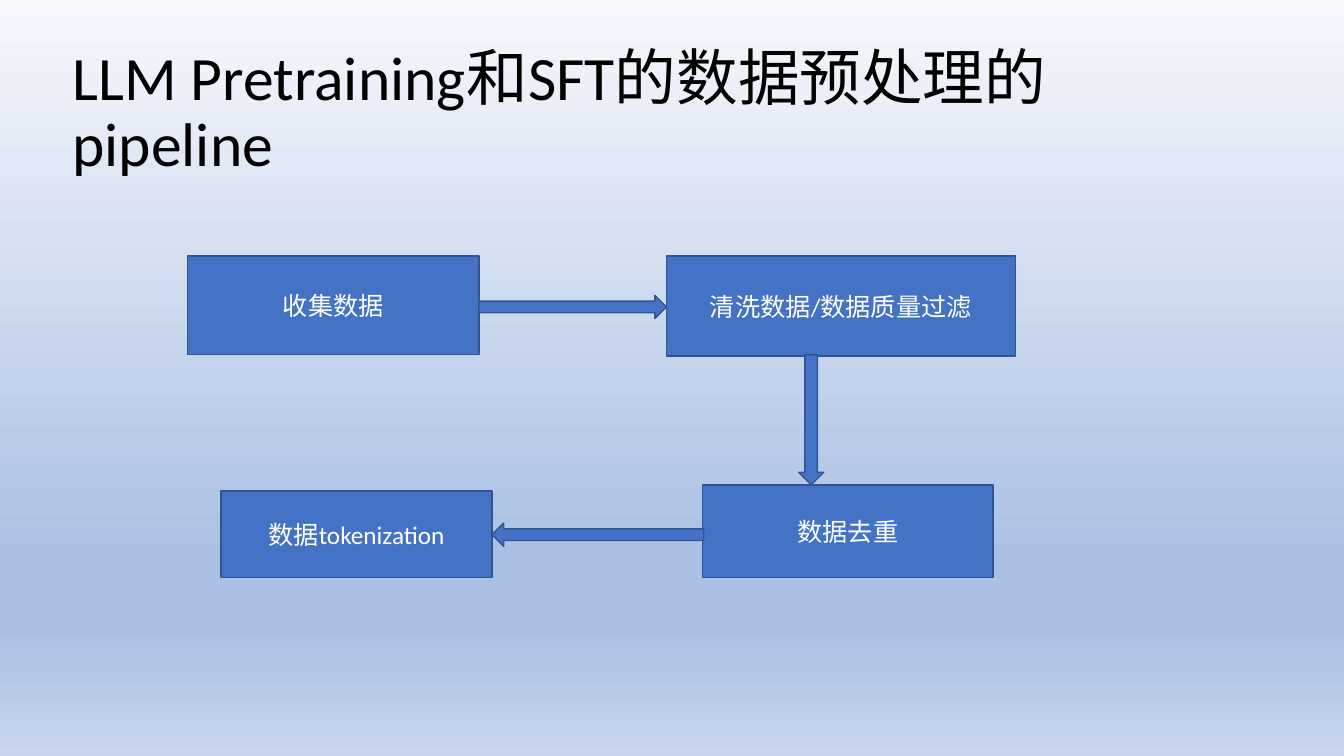
from pptx import Presentation
from pptx.dml.color import RGBColor
from pptx.enum.shapes import MSO_SHAPE as Shape
from pptx.enum.text import MSO_ANCHOR as Anchor, PP_ALIGN as Align
from pptx.oxml.ns import qn
from pptx.util import Inches, Pt
from lxml.etree import SubElement


def color(code):
    return RGBColor.from_string(code)


def block(kind, left, top, width, height):
    shape = slide.shapes.add_shape(
        kind, Inches(left), Inches(top), Inches(width), Inches(height))
    shape.shadow.inherit = False
    shape.fill.solid()
    shape.fill.fore_color.rgb = color("4472C4")
    shape.line.color.rgb = color("325491")
    shape.line.width = Pt(1)
    return shape


deck = Presentation()
deck.slide_width, deck.slide_height = Inches(13.33), Inches(7.5)
slide = deck.slides.add_slide(deck.slide_layouts[6])

# Background gradient, top to bottom
fill = slide.background.fill
fill.gradient()
fill.gradient_angle = 270
stops = slide.element.find(".//" + qn("a:gsLst"))
for stop in list(stops):
    stops.remove(stop)
for place, code in [(0, "F6F8FC"), (74, "ABC0E4"), (83, "ABC0E4"), (100, "C7D5ED")]:
    stop = SubElement(stops, qn("a:gs"), pos=str(place * 1000))
    SubElement(stop, qn("a:srgbClr"), val=code)

# Title
title = slide.shapes.add_textbox(Inches(0.62), Inches(0.4), Inches(11.8), Inches(1.45))
frame = title.text_frame
frame.word_wrap = True
frame.vertical_anchor = Anchor.MIDDLE
frame.text = "LLM Pretraining和SFT的数据预处理的pipeline"
para = frame.paragraphs[0]
para.line_spacing = 0.9
para.font.size = Pt(44)
para.font.name = "Calibri"
para.font.color.rgb = color("000000")

# Pipeline steps
steps = [
    ("收集数据", 1.86, 2.54, 2.89, 0.98),
    ("清洗数据/数据质量过滤", 6.61, 2.54, 3.46, 0.99),
    ("数据去重", 6.97, 4.81, 2.88, 0.92),
    ("数据tokenization", 2.19, 4.87, 2.69, 0.86),
]
for text, *area in steps:
    frame = block(Shape.RECTANGLE, *area).text_frame
    frame.word_wrap = True
    frame.vertical_anchor = Anchor.MIDDLE
    frame.text = text
    para = frame.paragraphs[0]
    para.alignment = Align.CENTER
    para.font.size = Pt(18)
    para.font.name = "Calibri"
    para.font.color.rgb = color("FFFFFF")

# Arrows between the steps
block(Shape.DOWN_ARROW, 7.92, 3.52, 0.25, 1.29)
block(Shape.RIGHT_ARROW, 4.75, 2.93, 1.86, 0.23)
block(Shape.LEFT_ARROW, 4.88, 5.19, 2.1, 0.23)

deck.save("out.pptx")
